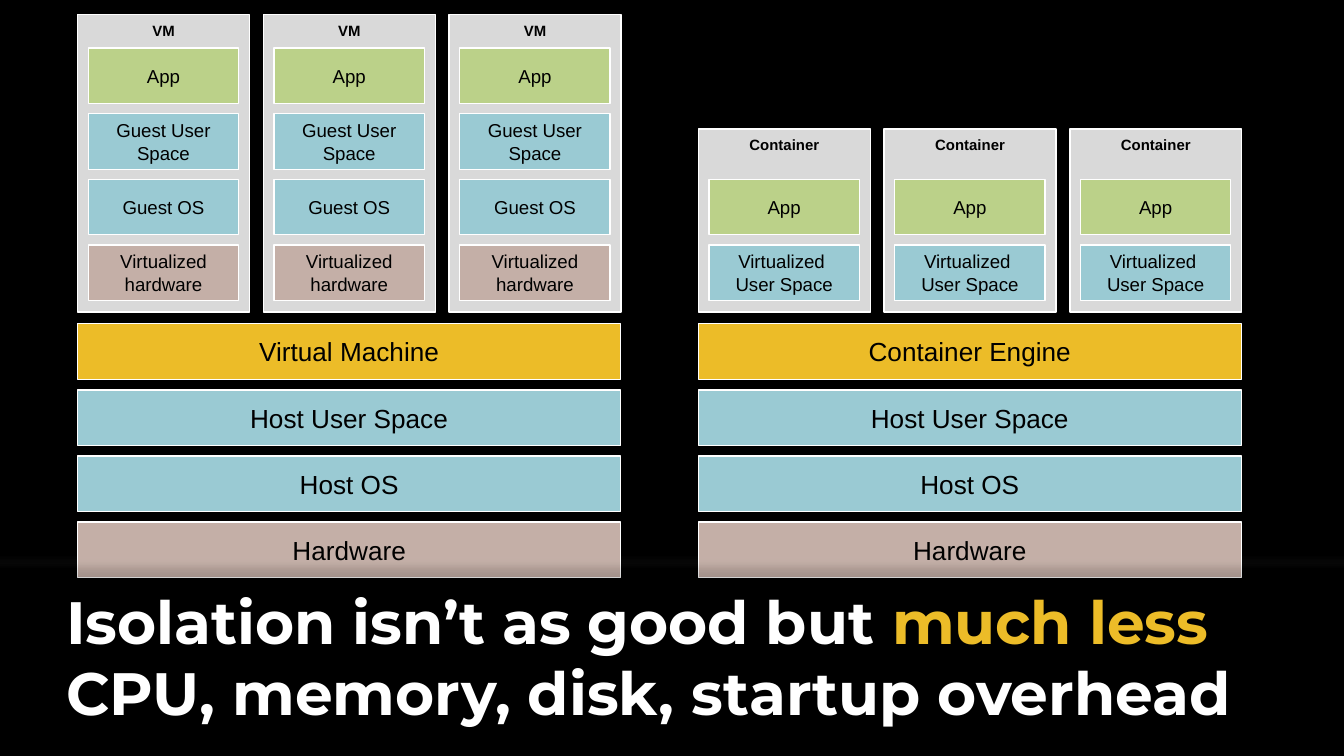
"""Build a slide comparing virtual machine and container stacks."""
from dataclasses import dataclass

from pptx import Presentation
from pptx.dml.color import RGBColor
from pptx.enum.shapes import MSO_SHAPE
from pptx.enum.text import MSO_ANCHOR, PP_ALIGN
from pptx.oxml import parse_xml
from pptx.oxml.ns import nsdecls, qn
from pptx.shapes.autoshape import Shape
from pptx.slide import Slide
from pptx.text.text import _Paragraph as Paragraph
from pptx.util import Cm, Pt


@dataclass(frozen=True)
class Theme:
    background: str = "000000"
    ink: str = "000000"
    outline: str = "FFFFFF"
    headline: str = "FFFFFF"
    panel: str = "D9D9D9"
    app: str = "BBD189"
    system: str = "9ACAD3"
    hardware: str = "C4AFA7"
    engine: str = "ECBC28"
    body_font: str = "Arial"
    headline_font: str = "Montserrat"
    panel_size: int = 8
    cell_size: int = 10
    layer_size: int = 14
    headline_size: int = 32


@dataclass(frozen=True)
class Layer:
    text: str
    color: str


@dataclass(frozen=True)
class Stack:
    left: float
    panel_title: str
    panel_top: float
    cells: tuple[Layer, ...]
    engine: str


@dataclass(frozen=True)
class Box:
    left: float
    top: float
    width: float
    height: float


@dataclass(frozen=True)
class FadeStop:
    position: int
    color: str
    opacity: int


THEME = Theme()
SLIDE_WIDTH, SLIDE_HEIGHT = 25.4, 14.29
PANEL_COUNT, PANEL_WIDTH, PANEL_PITCH, PANEL_BOTTOM = 3, 3.25, 3.51, 5.9
CELL_INSET, CELL_WIDTH, CELL_PITCH, LAST_CELL_TOP = 0.2, 2.84, 1.24, 4.63
LAYER_TOP, LAYER_WIDTH, LAYER_PITCH = 6.12, 10.26, 1.25
ROW_HEIGHT = 1.05
BANNER = Box(0, 10.52, SLIDE_WIDTH, 3.77)

APP = Layer("App", THEME.app)
HOST_LAYERS = (
    Layer("Host User Space", THEME.system),
    Layer("Host OS", THEME.system),
    Layer("Hardware", THEME.hardware),
)
STACKS = (
    Stack(1.47, "VM", 0.28, (
        APP,
        Layer("Guest User Space", THEME.system),
        Layer("Guest OS", THEME.system),
        Layer("Virtualized hardware", THEME.hardware),
    ), "Virtual Machine"),
    Stack(13.2, "Container", 2.44, (
        APP,
        Layer("Virtualized \nUser Space", THEME.system),
    ), "Container Engine"),
)
HEADLINE = (
    Layer("Isolation isn’t as good but ", THEME.headline),
    Layer("much less ", THEME.engine),
    Layer("CPU, memory, disk, startup overhead", THEME.headline),
)
FADE = (
    FadeStop(0, "000000", 80),
    FadeStop(20, "000000", 75),
    FadeStop(38, "000000", 70),
    FadeStop(59, "000000", 60),
    FadeStop(82, "000000", 30),
    FadeStop(88, "000000", 20),
    FadeStop(94, "000000", 10),
    FadeStop(100, "FFFFFF", 0),
)


def add_rectangle(slide: Slide, box: Box) -> Shape:
    shape = slide.shapes.add_shape(
        MSO_SHAPE.RECTANGLE, Cm(box.left), Cm(box.top), Cm(box.width), Cm(box.height)
    )
    shape.shadow.inherit = False
    shape.text_frame.word_wrap = True
    return shape


def add_run(paragraph: Paragraph, text: str, font_name: str, size: int,
            color: str, bold: bool) -> None:
    run = paragraph.add_run()
    run.text = text
    run.font.name = font_name
    run.font.size = Pt(size)
    run.font.bold = bold
    run.font.color.rgb = RGBColor.from_string(color)


def add_block(slide: Slide, box: Box, layer: Layer, size: int, bold: bool = False,
              anchor: MSO_ANCHOR = MSO_ANCHOR.MIDDLE) -> Shape:
    shape = add_rectangle(slide, box)
    shape.fill.solid()
    shape.fill.fore_color.rgb = RGBColor.from_string(layer.color)
    shape.line.color.rgb = RGBColor.from_string(THEME.outline)
    shape.line.width = Pt(0.75)
    frame = shape.text_frame
    frame.vertical_anchor = anchor
    for index, text in enumerate(layer.text.split("\n")):
        paragraph = frame.add_paragraph() if index else frame.paragraphs[0]
        paragraph.alignment = PP_ALIGN.CENTER
        add_run(paragraph, text, THEME.body_font, size, THEME.ink, bold)
    return shape


def add_panel(slide: Slide, stack: Stack, left: float) -> None:
    box = Box(left, stack.panel_top, PANEL_WIDTH, PANEL_BOTTOM - stack.panel_top)
    panel = add_block(slide, box, Layer(stack.panel_title, THEME.panel),
                      THEME.panel_size, True, MSO_ANCHOR.TOP)
    panel._element.spPr.find(qn("a:effectLst")).append(parse_xml(
        f'<a:outerShdw {nsdecls("a")} blurRad="{Pt(3.1)}" dist="{Pt(1.8)}" '
        'dir="5400000" rotWithShape="0"><a:srgbClr val="000000">'
        '<a:alpha val="35000"/></a:srgbClr></a:outerShdw>'
    ))
    first_top = LAST_CELL_TOP - CELL_PITCH * (len(stack.cells) - 1)
    for row, cell in enumerate(stack.cells):
        cell_box = Box(left + CELL_INSET, first_top + row * CELL_PITCH,
                       CELL_WIDTH, ROW_HEIGHT)
        add_block(slide, cell_box, cell, THEME.cell_size)


def add_stack(slide: Slide, stack: Stack) -> None:
    for column in range(PANEL_COUNT):
        add_panel(slide, stack, stack.left + column * PANEL_PITCH)
    for row, layer in enumerate((Layer(stack.engine, THEME.engine), *HOST_LAYERS)):
        box = Box(stack.left, LAYER_TOP + row * LAYER_PITCH, LAYER_WIDTH, ROW_HEIGHT)
        add_block(slide, box, layer, THEME.layer_size)


def add_headline(slide: Slide) -> None:
    banner = add_rectangle(slide, BANNER)
    banner.line.fill.background()
    stops = "".join(
        f'<a:gs pos="{stop.position * 1000}"><a:srgbClr val="{stop.color}">'
        f'<a:alpha val="{stop.opacity * 1000}"/></a:srgbClr></a:gs>'
        for stop in FADE
    )
    banner._element.spPr.find(qn("a:prstGeom")).addnext(parse_xml(
        f'<a:gradFill {nsdecls("a")} rotWithShape="1"><a:gsLst>{stops}</a:gsLst>'
        '<a:lin ang="16200000" scaled="0"/></a:gradFill>'
    ))
    frame = banner.text_frame
    frame.vertical_anchor = MSO_ANCHOR.MIDDLE
    frame.margin_left = frame.margin_top = frame.margin_bottom = Cm(0.25)
    frame.margin_right = Cm(0.76)
    paragraph = frame.paragraphs[0]
    paragraph.alignment = PP_ALIGN.LEFT
    properties = paragraph._p.get_or_add_pPr()
    properties.set("marL", str(Cm(1)))
    properties.set("indent", "0")
    for part in HEADLINE:
        add_run(paragraph, part.text, THEME.headline_font, THEME.headline_size,
                part.color, True)


def main() -> None:
    presentation = Presentation()
    presentation.slide_width = Cm(SLIDE_WIDTH)
    presentation.slide_height = Cm(SLIDE_HEIGHT)
    slide = presentation.slides.add_slide(presentation.slide_layouts[6])
    slide.background.fill.solid()
    slide.background.fill.fore_color.rgb = RGBColor.from_string(THEME.background)
    for stack in STACKS:
        add_stack(slide, stack)
    add_headline(slide)
    presentation.save("out.pptx")


if __name__ == "__main__":
    main()
